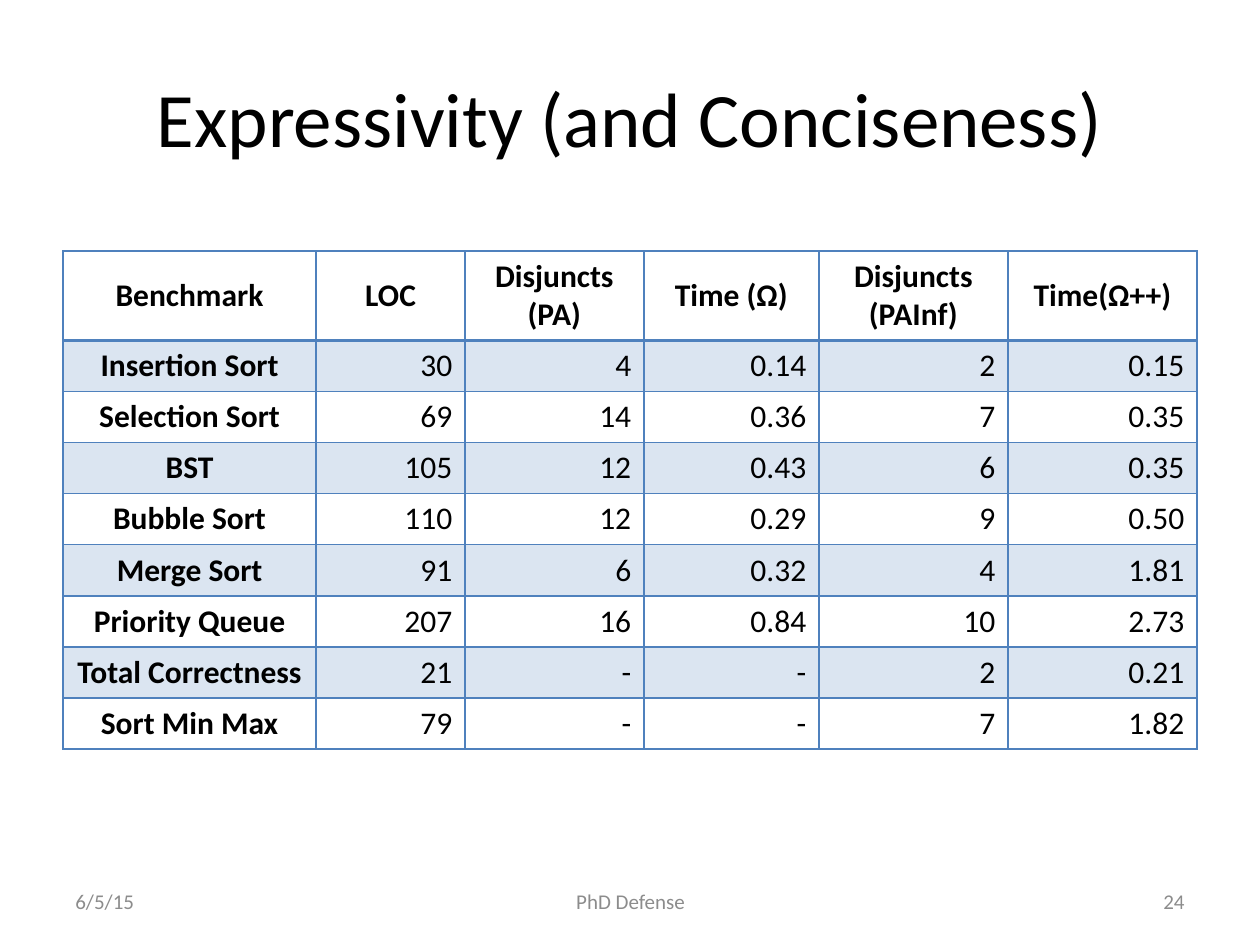
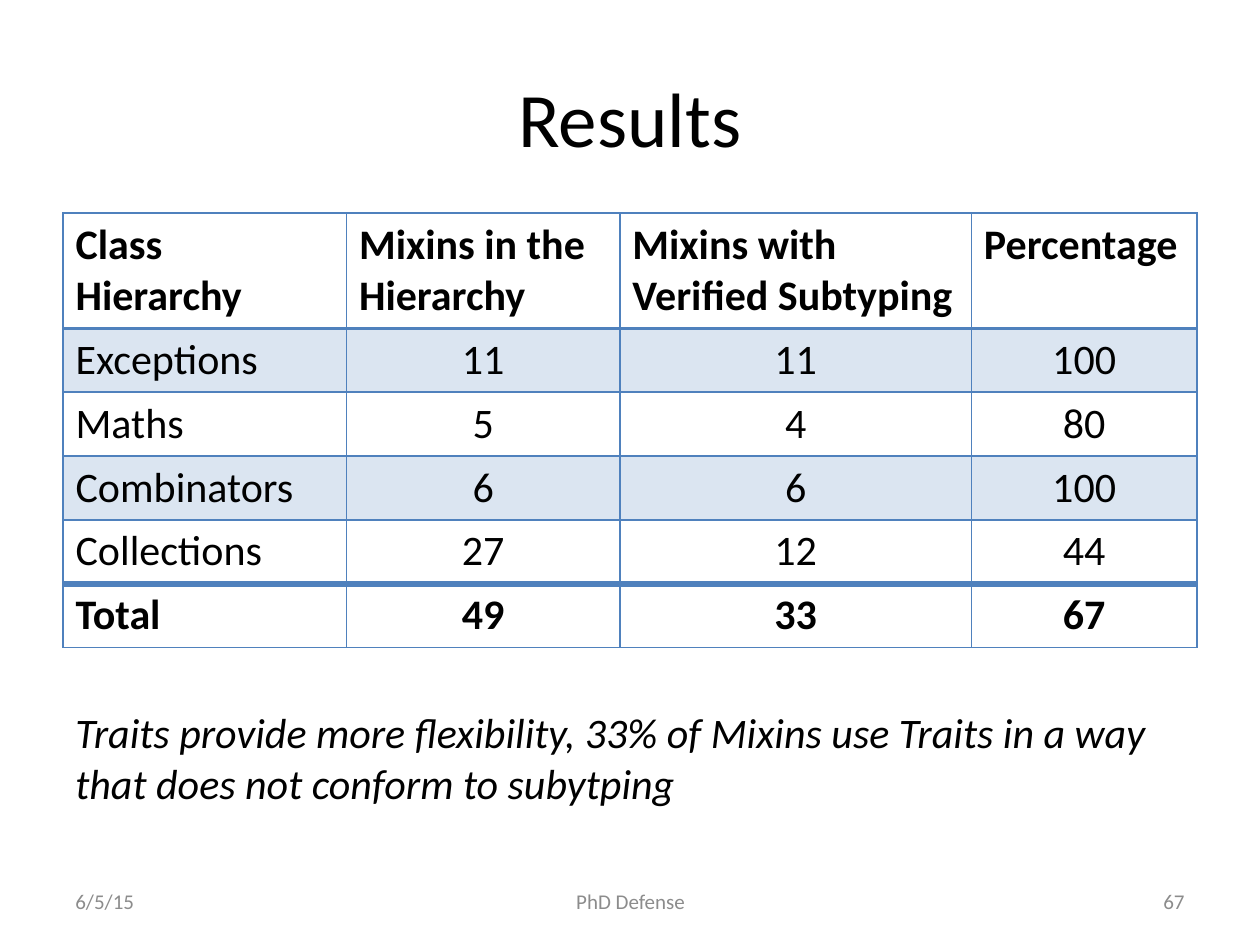
from pptx import Presentation
from pptx.dml.color import RGBColor
from pptx.enum.text import MSO_ANCHOR as Anchor, PP_ALIGN as Align
from pptx.oxml.ns import qn
from pptx.util import Inches, Pt
from lxml.etree import SubElement

BLACK = RGBColor(0x00, 0x00, 0x00)
GRAY = RGBColor(0x8C, 0x8C, 0x8C)
BLUE = RGBColor(0x4F, 0x81, 0xBD)
FONT = "Calibri"
BAND_OPACITY = 20  # percent
LEFT, WIDTH = 0.5, 9
TITLE_LAYOUT = 5  # title only

DATE, EVENT = "6/5/15", "PhD Defense"
NOTE = ("Traits provide more flexibility, 33% of Mixins use Traits in a way "
        "that does not conform to subytping")

BENCHMARKS = {
    "title": "Expressivity (and Conciseness)", "number": "24",
    "rows": [
        ("Benchmark", "LOC", "Disjuncts (PA)", "Time (\u2126)", "Disjuncts (PAInf)", "Time(\u2126++)"),
        ("Insertion Sort", "30", "4", "0.14", "2", "0.15"),
        ("Selection Sort", "69", "14", "0.36", "7", "0.35"),
        ("BST", "105", "12", "0.43", "6", "0.35"),
        ("Bubble Sort", "110", "12", "0.29", "9", "0.50"),
        ("Merge Sort", "91", "6", "0.32", "4", "1.81"),
        ("Priority Queue", "207", "16", "0.84", "10", "2.73"),
        ("Total Correctness", "21", "-", "-", "2", "0.21"),
        ("Sort Min Max", "79", "-", "-", "7", "1.82"),
    ],
    "top": 1.99, "widths": (2.01, 1.18, 1.42, 1.39, 1.5, 1.5),
    "header_height": 0.7, "row_height": 0.4, "size": 18, "anchor": Anchor.MIDDLE,
    "header_align": Align.CENTER, "label_align": Align.CENTER, "value_align": Align.RIGHT,
    "bold_labels": True, "has_total": False,
}
RESULTS = {
    "title": "Results", "number": "67",
    "rows": [
        ("Class Hierarchy", "Mixins in the Hierarchy", "Mixins with Verified Subtyping", "Percentage"),
        ("Exceptions", "11", "11", "100"),
        ("Maths", "5", "4", "80"),
        ("Combinators", "6", "6", "100"),
        ("Collections", "27", "12", "44"),
        ("Total", "49", "33", "67"),
    ],
    "top": 1.69, "widths": (2.25, 2.17, 2.79, 1.79),
    "header_height": 0.9, "row_height": 0.5, "size": 24, "anchor": Anchor.TOP,
    "header_align": Align.LEFT, "label_align": Align.LEFT, "value_align": Align.CENTER,
    "bold_labels": False, "has_total": True,
}


def write(text_frame, text, size, color=BLACK, align=Align.LEFT, bold=False, italic=False):
    """Set the text of a frame and format its only paragraph."""
    text_frame.text = text
    paragraph = text_frame.paragraphs[0]
    paragraph.alignment = align
    font = paragraph.runs[0].font
    font.name, font.size, font.bold, font.italic = FONT, Pt(size), bold, italic
    font.color.rgb = color


def add_text(slide, left, top, width, height, text, size, anchor=Anchor.TOP, **style):
    """Add a wrapping text box."""
    text_frame = slide.shapes.add_textbox(
        Inches(left), Inches(top), Inches(width), Inches(height)).text_frame
    text_frame.word_wrap = True
    text_frame.vertical_anchor = anchor
    write(text_frame, text, size, **style)


def set_borders(cell, top, bottom):
    """Draw the four cell borders; top and bottom are widths in points."""
    properties = cell._tc.get_or_add_tcPr()
    for side, width in (("L", 1), ("R", 1), ("T", top), ("B", bottom)):
        line = SubElement(properties, qn(f"a:ln{side}"), w=str(Pt(width)))
        fill = SubElement(line, qn("a:solidFill"))
        SubElement(fill, qn("a:srgbClr"), val=str(BLUE))


def fill_band(cell):
    """Fill a cell with transparent blue."""
    cell.fill.solid()
    cell.fill.fore_color.rgb = BLUE
    color = cell._tc.tcPr.find(qn("a:solidFill")).find(qn("a:srgbClr"))
    SubElement(color, qn("a:alpha"), val=str(BAND_OPACITY * 1000))


def add_data_table(slide, content):
    """Add a table with a header, banded rows and perhaps a total row."""
    rows, widths = content["rows"], content["widths"]
    heights = [content["header_height"]] + [content["row_height"]] * (len(rows) - 1)
    table = slide.shapes.add_table(
        len(rows), len(widths), Inches(LEFT), Inches(content["top"]),
        Inches(WIDTH), Inches(sum(heights))).table
    table.first_row = table.horz_banding = False
    for column, width in zip(table.columns, widths):
        column.width = Inches(width)
    for row, height in zip(table.rows, heights):
        row.height = Inches(height)

    total = len(rows) - 1 if content["has_total"] else None
    rules = [1] * (len(rows) + 1)  # widths of the horizontal lines
    rules[1] = 2
    if total:
        rules[total] = 4

    for r, values in enumerate(rows):
        for c, value in enumerate(values):
            kind = "header" if r == 0 else "label" if c == 0 else "value"
            cell = table.cell(r, c)
            cell.vertical_anchor = content["anchor"]
            bold = r in (0, total) or (c == 0 and content["bold_labels"])
            write(cell.text_frame, value, content["size"],
                  align=content[f"{kind}_align"], bold=bold)
            set_borders(cell, rules[r], rules[r + 1])
            if r % 2 and r != total:
                fill_band(cell)
            else:
                cell.fill.background()


def add_table_slide(presentation, content):
    """Add a slide with its title, table and footer."""
    slide = presentation.slides.add_slide(presentation.slide_layouts[TITLE_LAYOUT])
    title = slide.shapes.title
    title.left, title.top = Inches(LEFT), Inches(0.3)
    title.width, title.height = Inches(WIDTH), Inches(1.25)
    title.text_frame.vertical_anchor = Anchor.MIDDLE
    write(title.text_frame, content["title"], 44, align=Align.CENTER)
    add_data_table(slide, content)
    for left, width, text, align in ((0.5, 2.33, DATE, Align.LEFT),
                                     (3.42, 3.17, EVENT, Align.CENTER),
                                     (7.17, 2.33, content["number"], Align.RIGHT)):
        add_text(slide, left, 6.95, width, 0.4, text, 12, Anchor.MIDDLE,
                 color=GRAY, align=align)
    return slide


presentation = Presentation()
presentation.slide_width, presentation.slide_height = Inches(10), Inches(7.5)
add_table_slide(presentation, BENCHMARKS)
results_slide = add_table_slide(presentation, RESULTS)
add_text(results_slide, LEFT, 5.56, 8.76, 0.91, NOTE, 24, italic=True)
presentation.save("out.pptx")
